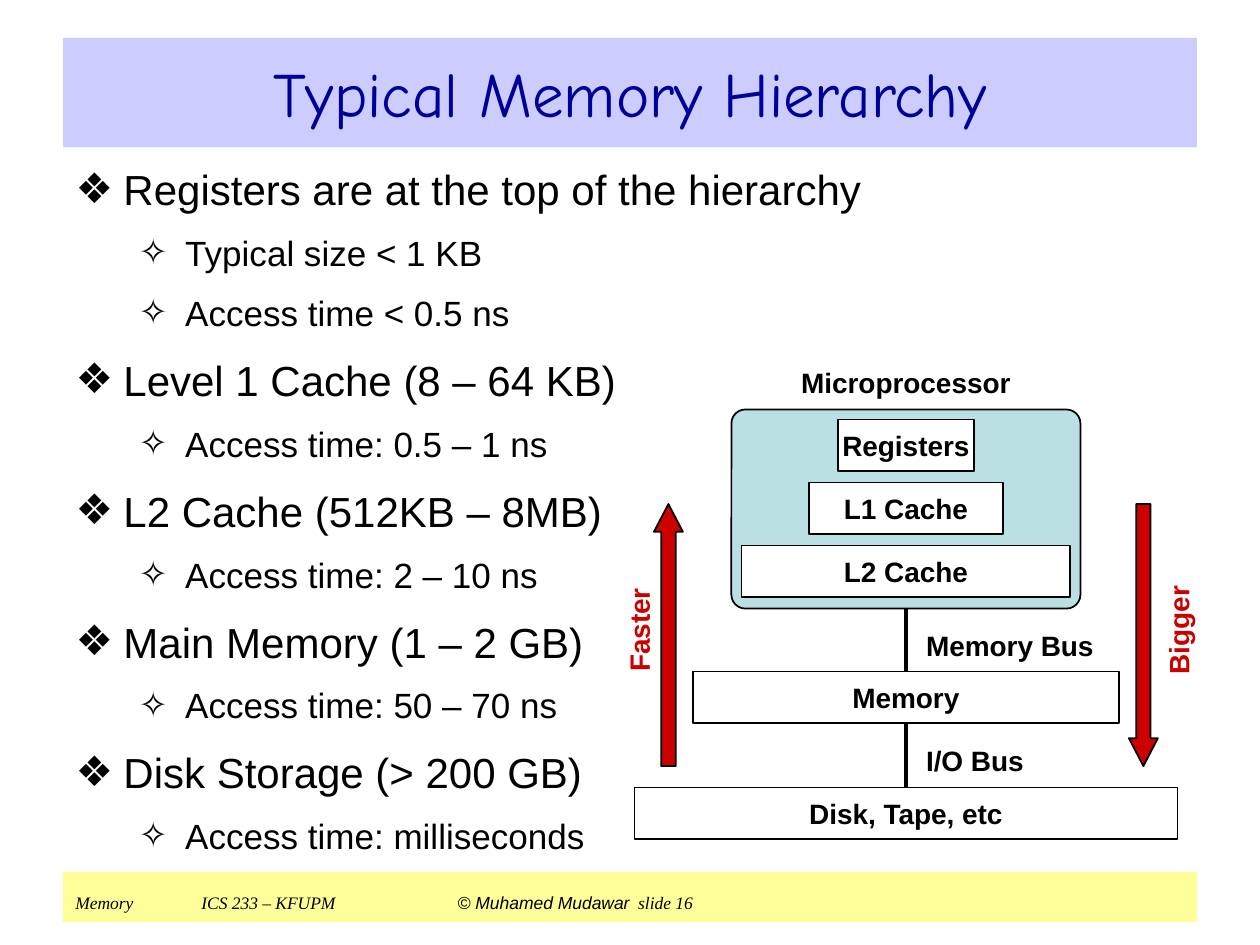
import pptx
import pptx.util
import pptx.dml.color
import pptx.enum.shapes
import pptx.enum.text
from lxml import etree
from pptx.oxml.ns import qn

Inches, Pt = pptx.util.Inches, pptx.util.Pt
SHAPE = pptx.enum.shapes.MSO_SHAPE
ALIGN = pptx.enum.text.PP_ALIGN
ANCHOR = pptx.enum.text.MSO_ANCHOR
NO_FIT = pptx.enum.text.MSO_AUTO_SIZE.NONE

TITLE = "Typical Memory Hierarchy"
TOPICS = [
    ("Registers are at the top of the hierarchy",
     ["Typical size < 1 KB", "Access time < 0.5 ns"]),
    ("Level 1 Cache (8 – 64 KB)", ["Access time: 0.5 – 1 ns"]),
    ("L2 Cache (512KB – 8MB)", ["Access time: 2 – 10 ns"]),
    ("Main Memory (1 – 2 GB)", ["Access time: 50 – 70 ns"]),
    ("Disk Storage (> 200 GB)", ["Access time: milliseconds"]),
]
# bullet, size, space before, left margin, hanging indent
LEVELS = [("❖", 24, 12, 0.38, 0.38), ("✧", 20, 10, 0.87, 0.37)]
# text, font, size, italic
FOOTER = [
    ("Memory\tICS 233 – KFUPM\t ", "Times New Roman", 10, True),
    ("© Muhamed Mudawar", "Arial", 10, True),
    (" ", "Arial", 18, False),
    ("slide 16", "Times New Roman", 10, True),
]
FOOTER_TABS = [1, 3]

AXIS = 7.19
BOX_HEIGHT = 0.41
# text, top, width
STORES = [
    ("Registers", 3.33, 1.08),
    ("L1 Cache", 3.83, 1.54),
    ("L2 Cache", 4.33, 2.61),
    ("Memory", 5.33, 3.38),
    ("Disk, Tape, etc", 6.25, 4.31),
]
# text, line start, line end, label top
BUSES = [("Memory Bus", 4.83, 5.33, 4.92), ("I/O Bus", 5.74, 6.25, 5.83)]
# text, arrow shape, arrow left, label centre
TRENDS = [
    ("Faster", SHAPE.UP_ARROW, 5.19, 5.07),
    ("Bigger", SHAPE.DOWN_ARROW, 8.96, 9.35),
]


def color(hex_string):
    return pptx.dml.color.RGBColor.from_string(hex_string)


def set_font(font, name, size, hex_string="000000", bold=False, italic=False):
    font.name, font.size = name, Pt(size)
    font.bold, font.italic = bold, italic
    font.color.rgb = color(hex_string)


def place(shape, left, top, width, height):
    shape.left, shape.top = Inches(left), Inches(top)
    shape.width, shape.height = Inches(width), Inches(height)


def add_box(slide, kind, left, top, width, height, fill, line=True):
    shape = slide.shapes.add_shape(
        kind, Inches(left), Inches(top), Inches(width), Inches(height))
    shape.shadow.inherit = False
    shape.fill.solid()
    shape.fill.fore_color.rgb = color(fill)
    if line:
        shape.line.color.rgb = color("000000")
        shape.line.width = Pt(1)
    else:
        shape.line.fill.background()
    return shape


def write_label(shape, text, hex_string="000000", align=ALIGN.CENTER):
    frame = shape.text_frame
    frame.margin_left = frame.margin_right = 0
    frame.margin_top = frame.margin_bottom = 0
    frame.word_wrap = True
    frame.vertical_anchor = ANCHOR.MIDDLE
    frame.text = text
    paragraph = frame.paragraphs[0]
    paragraph.alignment = align
    set_font(paragraph.runs[0].font, "Arial", 16, hex_string, bold=True)


def add_label(slide, text, left, top, width, **style):
    label = slide.shapes.add_textbox(
        Inches(left), Inches(top), Inches(width), Inches(BOX_HEIGHT))
    write_label(label, text, **style)
    return label


def add_footer(slide):
    band = add_box(slide, SHAPE.RECTANGLE, 0.5, 6.92, 9, 0.4, "FFFF99", line=False)
    band.text_frame.vertical_anchor = ANCHOR.TOP
    paragraph = band.text_frame.paragraphs[0]
    paragraph.alignment = ALIGN.LEFT
    tabs = etree.SubElement(paragraph._p.get_or_add_pPr(), qn("a:tabLst"))
    for position in FOOTER_TABS:
        etree.SubElement(tabs, qn("a:tab"), pos=str(Inches(position)), algn="l")
    for text, name, size, italic in FOOTER:
        run = paragraph.add_run()
        run.text = text
        set_font(run.font, name, size, italic=italic)


def fill_title(title):
    place(title, 0.5, 0.3, 9, 0.87)
    title.fill.solid()
    title.fill.fore_color.rgb = color("CCCCFF")
    frame = title.text_frame
    frame.text = TITLE
    frame.auto_size = NO_FIT
    frame.vertical_anchor = ANCHOR.MIDDLE
    frame.paragraphs[0].alignment = ALIGN.CENTER
    set_font(frame.paragraphs[0].runs[0].font, "Comic Neue", 36, "000099")


def fill_body(body):
    place(body, 0.5, 1.25, 9, 5.63)
    frame = body.text_frame
    frame.auto_size = NO_FIT
    rows = []
    for topic, details in TOPICS:
        rows.append((topic, 0))
        rows.extend((detail, 1) for detail in details)
    frame.text = "\n".join(text for text, level in rows)
    for index, (paragraph, (text, level)) in enumerate(zip(frame.paragraphs, rows)):
        bullet, size, space, margin, hanging = LEVELS[level]
        paragraph.level = level
        paragraph.space_before = Pt(space if index else 0)
        properties = paragraph._p.get_or_add_pPr()
        properties.set("marL", str(Inches(margin)))
        properties.set("indent", str(-Inches(hanging)))
        etree.SubElement(properties, qn("a:buChar"), char=bullet)
        set_font(paragraph.runs[0].font, "Arial", size)


def add_hierarchy(slide):
    chip_width = 2.77
    chip = add_box(slide, SHAPE.ROUNDED_RECTANGLE, AXIS - chip_width / 2, 3.25,
                   chip_width, 1.58, "BBE0E3")
    chip.adjustments[0] = 0.07
    add_label(slide, "Microprocessor", AXIS - chip_width / 2, 2.83, chip_width)
    for text, top, width in STORES:
        store = add_box(slide, SHAPE.RECTANGLE, AXIS - width / 2, top, width,
                        BOX_HEIGHT, "FFFFFF")
        write_label(store, text)
    for text, start, end, label_top in BUSES:
        bus = slide.shapes.add_connector(
            pptx.enum.shapes.MSO_CONNECTOR.STRAIGHT,
            Inches(AXIS), Inches(start), Inches(AXIS), Inches(end))
        bus.line.color.rgb = color("000000")
        bus.line.width = Pt(2.25)
        etree.SubElement(bus._element.spPr, qn("a:effectLst"))
        add_label(slide, text, AXIS + 0.16, label_top, 1.46, align=ALIGN.LEFT)


def add_trends(slide):
    label_width = 2
    for text, kind, left, center in TRENDS:
        arrow = add_box(slide, kind, left, 4, 0.23, 2.08, "CC0000")
        arrow.adjustments[0], arrow.adjustments[1] = 0.5, 0.96
        label = add_label(slide, text, center - label_width / 2,
                          5 - BOX_HEIGHT / 2, label_width, hex_string="CC0000")
        label.rotation = 270


def main():
    presentation = pptx.Presentation()
    presentation.slide_width, presentation.slide_height = Inches(10), Inches(7.5)
    slide = presentation.slides.add_slide(presentation.slide_layouts[1])
    fill_title(slide.shapes.title)
    fill_body(slide.placeholders[1])
    add_footer(slide)
    add_hierarchy(slide)
    add_trends(slide)
    presentation.save("out.pptx")


if __name__ == "__main__":
    main()
